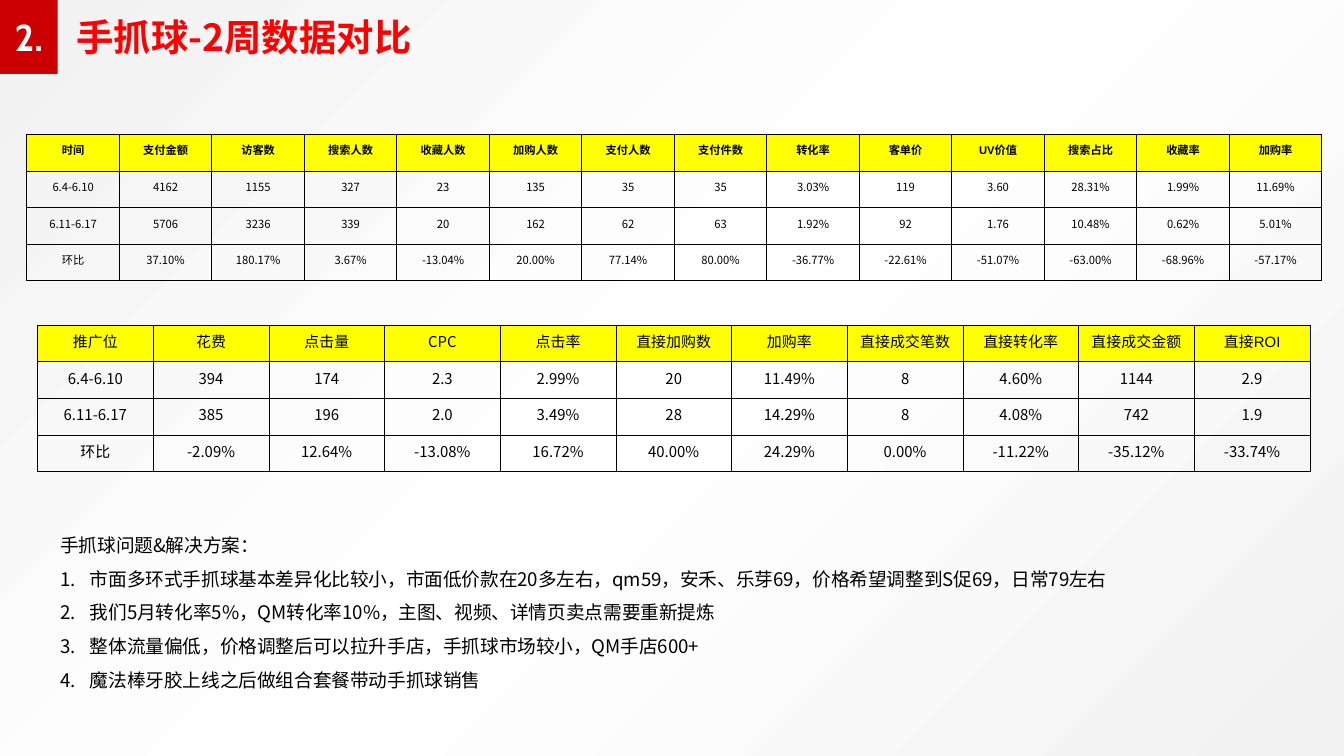
from dataclasses import dataclass

from lxml import etree
from pptx import Presentation
from pptx.dml.color import RGBColor
from pptx.enum.shapes import MSO_SHAPE
from pptx.enum.text import MSO_ANCHOR as Anchor, PP_ALIGN as Align
from pptx.oxml import parse_xml
from pptx.oxml.ns import qn
from pptx.util import Inches, Pt

NOTO = "Noto Sans CJK SC"
BLACK, WHITE, RED, BADGE_RED, YELLOW = "000000", "FFFFFF", "FF0000", "CC0000", "FFFF00"
DRAWING_NS = "http://schemas.openxmlformats.org/drawingml/2006/main"


@dataclass
class Comparison:
    left: float
    top: float
    width: float
    height: float
    size: float
    bold_header: bool
    rows: list[list[str]]


SHOP = Comparison(0.2, 1, 9.64, 1.09, 6, True, [
    ["时间", "支付金额", "访客数", "搜索人数", "收藏人数", "加购人数", "支付人数",
     "支付件数", "转化率", "客单价", "UV价值", "搜索占比", "收藏率", "加购率"],
    ["6.4-6.10", "4162", "1155", "327", "23", "135", "35",
     "35", "3.03%", "119", "3.60", "28.31%", "1.99%", "11.69%"],
    ["6.11-6.17", "5706", "3236", "339", "20", "162", "62",
     "63", "1.92%", "92", "1.76", "10.48%", "0.62%", "5.01%"],
    ["环比", "37.10%", "180.17%", "3.67%", "-13.04%", "20.00%", "77.14%",
     "80.00%", "-36.77%", "-22.61%", "-51.07%", "-63.00%", "-68.96%", "-57.17%"],
])
ADVERTISING = Comparison(0.28, 2.42, 9.47, 1.09, 8, False, [
    ["推广位", "花费", "点击量", "CPC", "点击率", "直接加购数",
     "加购率", "直接成交笔数", "直接转化率", "直接成交金额", "直接ROI"],
    ["6.4-6.10", "394", "174", "2.3", "2.99%", "20",
     "11.49%", "8", "4.60%", "1144", "2.9"],
    ["6.11-6.17", "385", "196", "2.0", "3.49%", "28",
     "14.29%", "8", "4.08%", "742", "1.9"],
    ["环比", "-2.09%", "12.64%", "-13.08%", "16.72%", "40.00%",
     "24.29%", "0.00%", "-11.22%", "-35.12%", "-33.74%"],
])
ACTIONS_HEADING = "手抓球问题&解决方案："
ACTIONS = [
    "市面多环式手抓球基本差异化比较小，市面低价款在20多左右，qm59，安禾、乐芽69，价格希望调整到S促69，日常79左右",
    "我们5月转化率5%，QM转化率10%，主图、视频、详情页卖点需要重新提炼",
    "整体流量偏低，价格调整后可以拉升手店，手抓球市场较小，QM手店600+",
    "魔法棒牙胶上线之后做组合套餐带动手抓球销售",
]


def rgb(hex_color: str) -> RGBColor:
    return RGBColor.from_string(hex_color)


def style(paragraph, size: float, color: str, font: str = NOTO, bold: bool = False) -> None:
    for run in paragraph.runs:
        run.font.size, run.font.bold, run.font.name = Pt(size), bold, font
        run.font.color.rgb = rgb(color)
        east_asian = etree.Element(qn("a:ea"), typeface=NOTO)
        run.font._element.find(qn("a:latin")).addnext(east_asian)


def paint_background(slide) -> None:
    """Fill the background with a circular gradient centred at the bottom right."""
    slide.background.fill.gradient()
    gradient = next(slide.element.iter(qn("a:gradFill")))
    stops = "".join(
        f'<a:gs pos="{position * 1000}"><a:srgbClr val="{color}"/></a:gs>'
        for position, color in [(0, "F2F2F2"), (50, WHITE), (100, "F2F2F2")])
    gradient.getparent().replace(gradient, parse_xml(
        f'<a:gradFill xmlns:a="{DRAWING_NS}" rotWithShape="1"><a:gsLst>{stops}</a:gsLst>'
        '<a:path path="circle"><a:fillToRect l="100000" t="100000"/></a:path></a:gradFill>'))


def add_badge(slide, number: str) -> None:
    badge = slide.shapes.add_shape(MSO_SHAPE.RECTANGLE, 0, 0, Inches(0.43), Inches(0.55))
    badge.shadow.inherit = False
    badge.fill.solid()
    badge.fill.fore_color.rgb = rgb(BADGE_RED)
    badge.line.fill.background()
    frame = badge.text_frame
    frame.margin_left = frame.margin_right = 0
    frame.vertical_anchor = Anchor.MIDDLE
    frame.text = number
    frame.paragraphs[0].alignment = Align.CENTER
    style(frame.paragraphs[0], 20, WHITE, "Cabin", True)


def add_text_frame(slide, left: float, top: float, width: float, height: float):
    frame = slide.shapes.add_textbox(
        Inches(left), Inches(top), Inches(width), Inches(height)).text_frame
    frame.word_wrap = True
    return frame


def add_title(slide, title: str) -> None:
    frame = add_text_frame(slide, 0.47, 0.06, 2.72, 0.44)
    frame.text = title
    style(frame.paragraphs[0], 20, RED, bold=True)


def add_borders(cell) -> None:
    properties = cell._tc.get_or_add_tcPr()
    for side in ("lnL", "lnR", "lnT", "lnB"):
        properties.append(parse_xml(
            f'<a:{side} xmlns:a="{DRAWING_NS}" w="{Pt(0.5)}"><a:solidFill>'
            f'<a:srgbClr val="{BLACK}"/></a:solidFill></a:{side}>'))


def add_comparison(slide, data: Comparison) -> None:
    row_count, column_count = len(data.rows), len(data.rows[0])
    table = slide.shapes.add_table(
        row_count, column_count, Inches(data.left), Inches(data.top),
        Inches(data.width), Inches(data.height)).table
    table.first_row = table.horz_banding = False
    for column in table.columns:
        column.width = Inches(data.width / column_count)
    for row_index, values in enumerate(data.rows):
        is_header = row_index == 0
        for column_index, value in enumerate(values):
            cell = table.cell(row_index, column_index)
            cell.margin_left = cell.margin_right = cell.margin_top = Inches(0.01)
            cell.margin_bottom = Inches(0.05)
            cell.vertical_anchor = Anchor.MIDDLE
            add_borders(cell)
            if is_header:
                cell.fill.solid()
                cell.fill.fore_color.rgb = rgb(YELLOW)
            else:
                cell.fill.background()
            cell.text = value
            paragraph = cell.text_frame.paragraphs[0]
            paragraph.alignment = Align.CENTER
            is_label = (is_header and value != "CPC") or value == "环比"
            style(paragraph, data.size, BLACK, "Arial" if is_label else NOTO,
                  is_header and data.bold_header)


def number_item(paragraph) -> None:
    properties = paragraph._p.get_or_add_pPr()
    properties.set("marL", str(Inches(0.22)))
    properties.set("indent", str(-Inches(0.22)))
    etree.SubElement(properties, qn("a:buFont"), typeface=NOTO)
    etree.SubElement(properties, qn("a:buAutoNum"), type="arabicPeriod")


def add_actions(slide) -> None:
    frame = add_text_frame(slide, 0.35, 3.84, 8.59, 1.44)
    frame.text = "\n".join([ACTIONS_HEADING, *ACTIONS])
    for index, paragraph in enumerate(frame.paragraphs):
        if index > 0:
            number_item(paragraph)
        paragraph.line_spacing = 1.5
        style(paragraph, 10, BLACK)


def main() -> None:
    deck = Presentation()
    deck.slide_width = Inches(10)
    deck.slide_height = deck.slide_width * 9 // 16
    slide = deck.slides.add_slide(deck.slide_layouts[6])
    paint_background(slide)
    add_badge(slide, "2.")
    add_title(slide, "手抓球-2周数据对比")
    add_actions(slide)
    for comparison in (SHOP, ADVERTISING):
        add_comparison(slide, comparison)
    deck.save("out.pptx")


if __name__ == "__main__":
    main()
